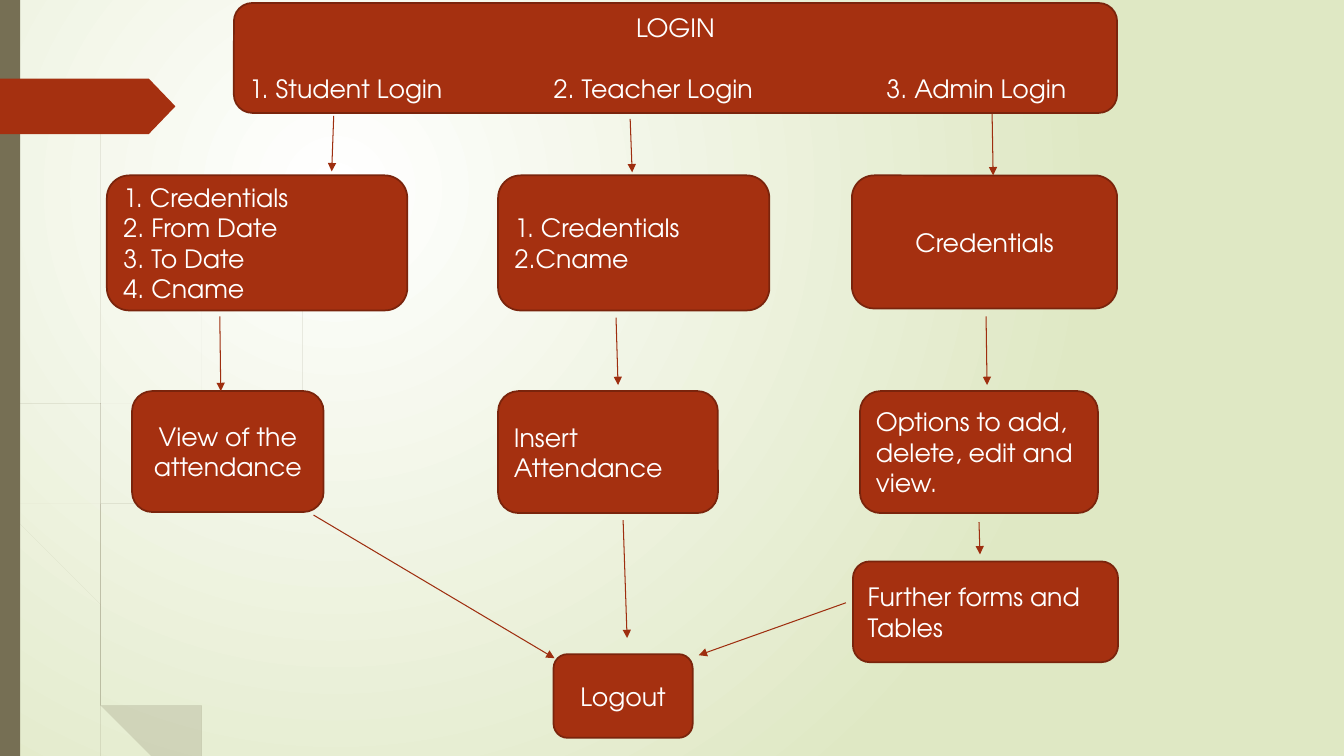
from lxml.etree import SubElement
from pptx import Presentation
from pptx.dml.color import RGBColor
from pptx.enum.shapes import MSO_CONNECTOR, MSO_SHAPE
from pptx.enum.text import MSO_ANCHOR, PP_ALIGN
from pptx.oxml.ns import qn
from pptx.util import Inches, Pt

WIDTH, HEIGHT = 13.33, 7.5


class Theme:
    font = "TeX Gyre Adventor"
    size = Pt(18)
    white = RGBColor.from_string("FFFFFF")
    pale_green = RGBColor.from_string("DFE8C4")
    olive = RGBColor.from_string("766F54")
    rust = RGBColor.from_string("A53010")
    rust_border = RGBColor.from_string("7A240C")
    rust_arrow = RGBColor.from_string("9E2E0F")
    border_width = Pt(1.25)
    arrow_width = Pt(0.75)


# Content: left, top, width, height, alignment, paragraphs
LEFT, CENTER = PP_ALIGN.LEFT, PP_ALIGN.CENTER
INPUT_ROW, ACTION_ROW = 1.74, 3.88
TEACHER_COLUMN = 4.94
LOGIN_BOX = (2.32, 0.03, 8.76, 1.09, LEFT,
             ["LOGIN", "1. Student Login\t2. Teacher Login\t3. Admin Login"])
LOGIN_TABS = [3.02, 6.32]
LOGIN_GAP = Pt(22)
STEP_BOXES = [
    (1.06, INPUT_ROW, 2.98, 1.34, LEFT,
     ["1. Credentials", "2. From Date", "3. To Date", "4. Cname"]),
    (TEACHER_COLUMN, INPUT_ROW, 2.69, 1.34, LEFT, ["1. Credentials", "2.Cname"]),
    (8.45, INPUT_ROW, 2.63, 1.32, CENTER, ["Credentials"]),
    (1.31, ACTION_ROW, 1.9, 1.2, CENTER, ["View of the attendance"]),
    (TEACHER_COLUMN, ACTION_ROW, 2.18, 1.21, LEFT, ["Insert Attendance"]),
    (8.53, ACTION_ROW, 2.36, 1.21, LEFT, ["Options to add, delete, edit and view."]),
    (8.46, 5.57, 2.63, 1, LEFT, ["Further forms and Tables"]),
    (5.49, 6.49, 1.38, 0.83, CENTER, ["Logout"]),
]

# Arrows: start x, start y, end x, end y
ARROWS = [
    (3.31, 1.15, 3.29, 1.7), (6.25, 1.18, 6.27, 1.71), (9.84, 1.13, 9.85, 1.74),
    (2.18, 3.14, 2.19, 3.88), (6.11, 3.15, 6.13, 3.82), (9.78, 3.14, 9.79, 3.82),
    (9.71, 5.18, 9.72, 5.5), (3.11, 5.11, 5.5, 6.53),
    (6.18, 5.16, 6.22, 6.33), (8.39, 5.98, 6.93, 6.5),
]

# Grass blades: rows of left edge, right edge, height on the slide
FAINT_BLADES = [
    [(0, 0, 2.82), (0.05, 0.09, 3.22), (0.12, 0.16, 3.7), (0.28, 0.31, 4.69),
     (0.65, 0.7, 6.2), (0.88, 0.93, 6.83), (1.01, 1.06, 7.14), (1.14, 1.24, 7.5)],
    [(0.14, 0.14, 3.45), (0.17, 0.21, 3.76), (0.41, 0.45, 4.7), (0.58, 0.62, 5.22),
     (0.84, 0.89, 5.99), (1.23, 1.27, 6.93), (1.5, 1.55, 7.5)],
    [(3.12, 3.12, 1.53), (2.89, 2.9, 1.75), (2.28, 2.29, 2.44), (1.58, 1.6, 3.48),
     (1.07, 1.1, 4.61), (0.85, 0.88, 5.84), (0.87, 0.91, 6.46), (0.93, 0.98, 6.83),
     (1.05, 1.05, 7.11)],
]
SOLID_BLADES = [
    [(0.03, 0.04, 0), (0.07, 0.08, 1.1), (0.17, 0.19, 2.33), (0.33, 0.36, 3.55),
     (0.57, 0.6, 4.77), (0.68, 0.72, 5.57), (0.93, 0.98, 6.58), (1.11, 1.16, 7.08),
     (1.27, 1.36, 7.5)],
    [(0.7, 0.7, 1.41), (0.56, 0.58, 2.45), (0.52, 0.54, 3.49), (0.55, 0.58, 4.5),
     (0.88, 0.93, 5.91), (1.06, 1.12, 6.46), (1.32, 1.36, 7.07), (1.52, 1.57, 7.5)],
    [(2.6, 2.61, 3.44), (2.31, 2.31, 3.73), (2.04, 2.05, 4.05), (1.56, 1.58, 4.75),
     (1.22, 1.25, 5.52), (1.06, 1.11, 6.32), (1.1, 1.16, 6.91), (1.22, 1.22, 7.19)],
]
CURVE_STEPS = 8


def smooth(rows):
    """Catmull-Rom interpolation through the rows of a blade."""
    padded = [rows[0], *rows, rows[-1]]
    result = []
    for before, start, end, after in zip(padded, padded[1:], padded[2:], padded[3:]):
        for step in range(CURVE_STEPS):
            t = step / CURVE_STEPS
            result.append(tuple(
                b + t / 2 * (c - a + t * (2 * a - 5 * b + 4 * c - d
                                          + t * (3 * b - a - 3 * c + d)))
                for a, b, c, d in zip(before, start, end, after)))
    return result + [rows[-1]]


def paint(shape, color, border=None):
    shape.shadow.inherit = False
    shape.fill.solid()
    shape.fill.fore_color.rgb = color
    if border is None:
        shape.line.fill.background()
    else:
        shape.line.color.rgb = border
        shape.line.width = Theme.border_width


def add_plain(slide, preset, left, top, width, height, color, border=None):
    shape = slide.shapes.add_shape(
        preset, Inches(left), Inches(top), Inches(width), Inches(height))
    paint(shape, color, border)
    return shape


def add_blade(slide, rows, opacity):
    curve = smooth(rows)
    outline = [(left, y) for left, right, y in curve]
    outline += [(right, y) for left, right, y in reversed(curve)]
    builder = slide.shapes.build_freeform(*outline[0], scale=Inches(1))
    builder.add_line_segments(outline[1:], close=True)
    blade = builder.convert_to_shape()
    paint(blade, Theme.olive)
    if opacity < 100:
        color = blade.fill._xPr.find(".//" + qn("a:srgbClr"))
        SubElement(color, qn("a:alpha"), val=str(opacity * 1000))


def add_box(slide, left, top, width, height, alignment, lines):
    box = add_plain(slide, MSO_SHAPE.ROUNDED_RECTANGLE, left, top, width, height,
                    Theme.rust, Theme.rust_border)
    frame = box.text_frame
    frame.word_wrap = True
    frame.vertical_anchor = MSO_ANCHOR.MIDDLE
    frame.text = "\n".join(lines)
    for paragraph in frame.paragraphs:
        paragraph.alignment = alignment
        paragraph.font.name = Theme.font
        paragraph.font.size = Theme.size
        paragraph.font.color.rgb = Theme.white
    return box


def add_arrow(slide, *ends):
    arrow = slide.shapes.add_connector(MSO_CONNECTOR.STRAIGHT, *map(Inches, ends))
    arrow.line.color.rgb = Theme.rust_arrow
    arrow.line.width = Theme.arrow_width
    SubElement(arrow.line._get_or_add_ln(), qn("a:tailEnd"), type="triangle")
    SubElement(arrow._element.spPr, qn("a:effectLst"))


def set_background(slide):
    fill = slide.background.fill
    fill.gradient()
    for stop, color in zip(fill.gradient_stops, (Theme.white, Theme.pale_green)):
        stop.color.rgb = color
    gradient = slide.background._cSld.find(".//" + qn("a:gradFill"))
    gradient.remove(gradient.find(qn("a:lin")))
    circle = SubElement(gradient, qn("a:path"), path="circle")
    SubElement(circle, qn("a:fillToRect"), l="50000", t="50000", r="100000", b="100000")


def main():
    presentation = Presentation()
    presentation.slide_width, presentation.slide_height = Inches(WIDTH), Inches(HEIGHT)
    slide = presentation.slides.add_slide(presentation.slide_layouts[6])

    # Backdrop
    set_background(slide)
    for blades, opacity in ((FAINT_BLADES, 20), (SOLID_BLADES, 100)):
        for rows in blades:
            add_blade(slide, rows, opacity)
    add_plain(slide, MSO_SHAPE.RECTANGLE, 0, 0, 0.2, HEIGHT, Theme.olive)
    marker = add_plain(slide, MSO_SHAPE.PENTAGON, 0, 0.78, 1.74, 0.55, Theme.rust)
    marker.adjustments[0] = 0.48

    # Login box with its three choices on tab stops
    heading, choices = add_box(slide, *LOGIN_BOX).text_frame.paragraphs
    heading.alignment = CENTER
    heading.space_after = LOGIN_GAP
    properties = choices._p.get_or_add_pPr()
    tabs = SubElement(properties, qn("a:tabLst"))
    properties.find(qn("a:defRPr")).addprevious(tabs)
    for position in LOGIN_TABS:
        SubElement(tabs, qn("a:tab"), pos=str(Inches(position)), algn="l")

    # Flow
    for box in STEP_BOXES:
        add_box(slide, *box)
    for ends in ARROWS:
        add_arrow(slide, *ends)

    presentation.save("out.pptx")


if __name__ == "__main__":
    main()
